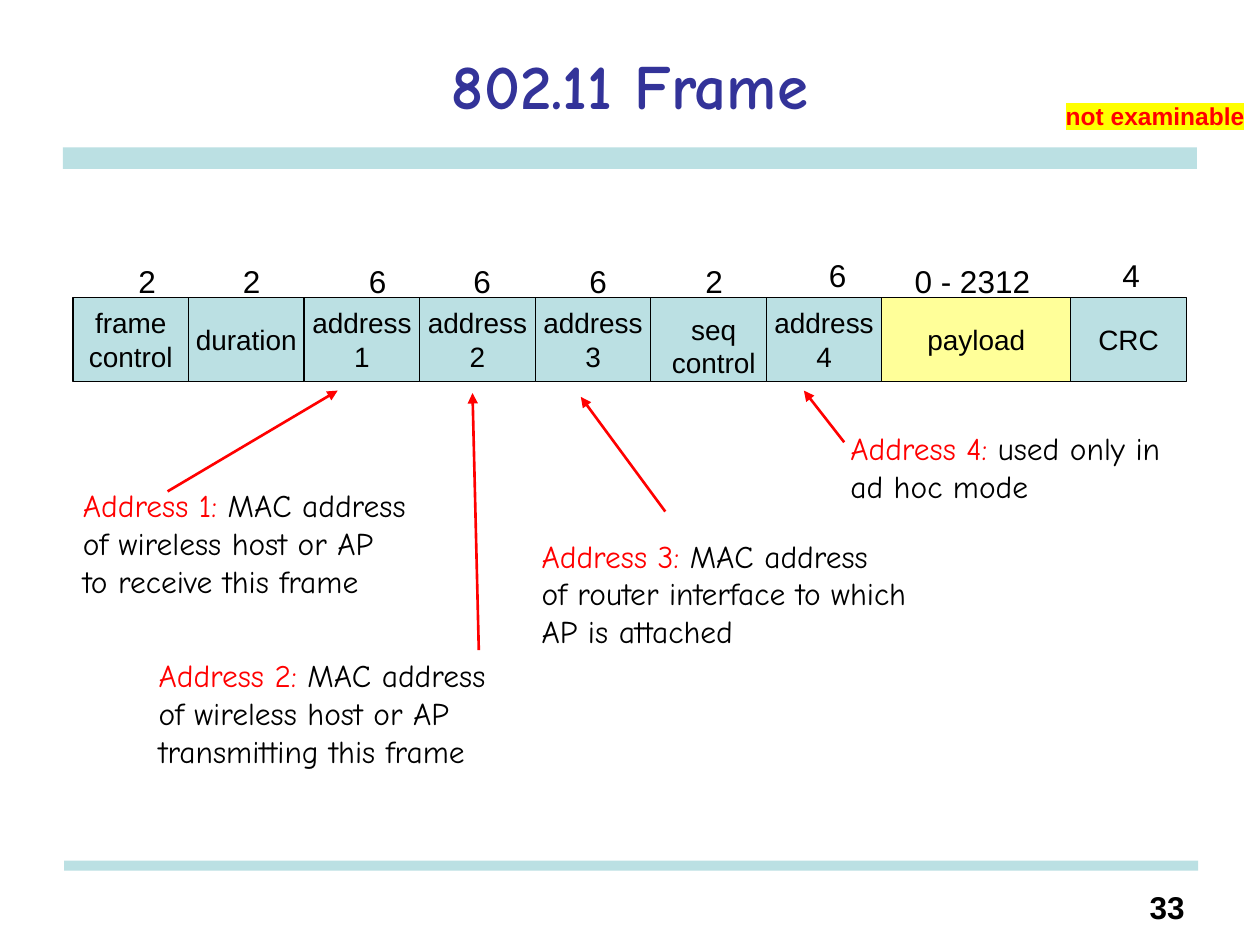
from lxml import etree
from pptx import Presentation
from pptx.dml.color import RGBColor
from pptx.enum.shapes import MSO_CONNECTOR, MSO_SHAPE
from pptx.enum.text import MSO_ANCHOR as Anchor, PP_ALIGN as Align
from pptx.oxml.ns import qn
from pptx.util import Inches, Pt

TEAL = RGBColor(0xBB, 0xE0, 0xE3)
YELLOW = RGBColor(0xFF, 0xFF, 0x99)
NAVY = RGBColor(0x33, 0x33, 0x99)
RED = RGBColor(0xFF, 0x00, 0x00)
BLACK = RGBColor(0x00, 0x00, 0x00)
MARKER = "FFFF00"
SANS, COMIC = "Arial", "Comic Neue"

FRAME_LEFT, FRAME_TOP, FRAME_HEIGHT = 0.58, 2.36, 0.67
FIELD_WIDTH, PAYLOAD_WIDTH = 0.917, 1.5

# Field name, width, fill
FIELDS = [
    ("frame\ncontrol", FIELD_WIDTH, TEAL),
    ("duration", FIELD_WIDTH, TEAL),
    ("address\n1", FIELD_WIDTH, TEAL),
    ("address\n2", FIELD_WIDTH, TEAL),
    ("address\n3", FIELD_WIDTH, TEAL),
    ("", FIELD_WIDTH, TEAL),  # seq control, labelled separately
    ("address\n4", FIELD_WIDTH, TEAL),
    ("payload", PAYLOAD_WIDTH, YELLOW),
    ("CRC", FIELD_WIDTH, TEAL),
]

# Byte count, left, top, width
BYTE_COUNTS = [
    ("2", 1, 2.03, 0.34),
    ("2", 1.83, 2.03, 0.34),
    ("6", 2.83, 2.03, 0.34),
    ("6", 3.66, 2.03, 0.34),
    ("6", 4.58, 2.03, 0.34),
    ("2", 5.5, 2.03, 0.34),
    ("6", 6.48, 1.98, 0.34),
    ("0 - 2312", 7.16, 2.03, 1.12),
    ("4", 8.81, 1.98, 0.34),
]

# Heading, explanation, box, wrap, arrow start, arrow end
ADDRESS_NOTES = [
    ("Address 1:", " MAC address\nof wireless host or AP\nto receive this frame",
     (0.56, 3.81, 3.07, 1), False, (1.33, 3.9), (2.68, 3.1)),
    ("Address 2:", " MAC address\nof wireless host or AP\ntransmitting this frame",
     (1.16, 5.16, 3.11, 1), False, (3.8, 5.16), (3.75, 3.12)),
    ("Address 3:", " MAC address\nof router interface to which AP is attached",
     (4.2, 4.21, 3.34, 1), True, (5.28, 4.06), (4.61, 3.15)),
    ("Address 4:", " used only in ad hoc mode",
     (6.65, 3.36, 2.85, 0.7), True, (6.7, 3.51), (6.38, 3.1)),
]


def write(frame, text, lead="", lead_color=RED, size=18, font=SANS, color=BLACK,
          bold=False, align=Align.LEFT, anchor=Anchor.TOP, wrap=False, highlight=None):
    """Fill a text frame, one paragraph a line, with an optional coloured lead."""
    frame.word_wrap = wrap
    frame.vertical_anchor = anchor
    for index, line in enumerate(text.split("\n")):
        paragraph = frame.add_paragraph() if index else frame.paragraphs[0]
        paragraph.alignment = align
        pieces = [(line, color)]
        if lead and index == 0:
            pieces.insert(0, (lead, lead_color))
        for words, ink in pieces:
            run = paragraph.add_run()
            run.text = words
            run.font.size = Pt(size)
            run.font.name = font
            run.font.bold = bold
            run.font.color.rgb = ink
            if highlight:
                marker = etree.Element(qn("a:highlight"))
                etree.SubElement(marker, qn("a:srgbClr"), val=highlight)
                run.font._element.find(qn("a:solidFill")).addnext(marker)


def add_label(slide, text, box, **text_format):
    label = slide.shapes.add_textbox(*map(Inches, box))
    write(label.text_frame, text, **text_format)


def add_bar(slide, box, fill, outlined=False):
    bar = slide.shapes.add_shape(MSO_SHAPE.RECTANGLE, *map(Inches, box))
    bar.shadow.inherit = False
    bar.fill.solid()
    bar.fill.fore_color.rgb = fill
    if outlined:
        bar.line.color.rgb = BLACK
        bar.line.width = Pt(0.75)
    else:
        bar.line.fill.background()
    return bar


def add_arrow(slide, start, end):
    arrow = slide.shapes.add_connector(MSO_CONNECTOR.STRAIGHT, *map(Inches, start + end))
    arrow.line.color.rgb = RED
    arrow.line.width = Pt(1.5)
    etree.SubElement(arrow.line._get_or_add_ln(), qn("a:tailEnd"), type="triangle")
    etree.SubElement(arrow._element.spPr, qn("a:effectLst"))


def add_title(slide, text):
    title = slide.shapes.title
    title.left, title.top, title.width, title.height = map(Inches, (0.5, 0.17, 9, 1))
    write(title.text_frame, text, size=36, font=COMIC, color=NAVY, bold=True,
          align=Align.CENTER, anchor=Anchor.MIDDLE, wrap=True)


def add_frame_fields(slide):
    left = FRAME_LEFT
    for name, width, fill in FIELDS:
        field = add_bar(slide, (left, FRAME_TOP, width, FRAME_HEIGHT), fill, outlined=True)
        if name:
            write(field.text_frame, name, size=16, align=Align.CENTER, anchor=Anchor.MIDDLE)
        left += width
    for count, left, top, width in BYTE_COUNTS:
        add_label(slide, count, (left, top, width, 0.4))
    add_label(slide, "seq\ncontrol", (5.23, 2.43, 0.87, 0.64), size=16, align=Align.CENTER)


def main():
    deck = Presentation()
    deck.slide_width, deck.slide_height = Inches(10), Inches(7.5)
    slide = deck.slides.add_slide(deck.slide_layouts[5])

    # Rules, title and page number
    add_bar(slide, (0.5, 1.17, 9, 0.17), TEAL)
    add_bar(slide, (0.51, 6.83, 9, 0.08), TEAL)
    add_title(slide, "802.11 Frame")
    add_label(slide, "33", (8.83, 7, 0.67, 0.42), bold=True, align=Align.RIGHT, wrap=True)

    # Frame layout
    add_frame_fields(slide)

    # Address explanations
    for heading, explanation, box, wrap, start, end in ADDRESS_NOTES:
        add_label(slide, explanation, box, lead=heading, font=COMIC, wrap=wrap)
        add_arrow(slide, start, end)

    # Exam remark
    add_label(slide, "not examinable", (8.36, 0.75, 1.64, 0.34), size=14, color=RED,
              bold=True, highlight=MARKER)

    deck.save("out.pptx")


if __name__ == "__main__":
    main()
